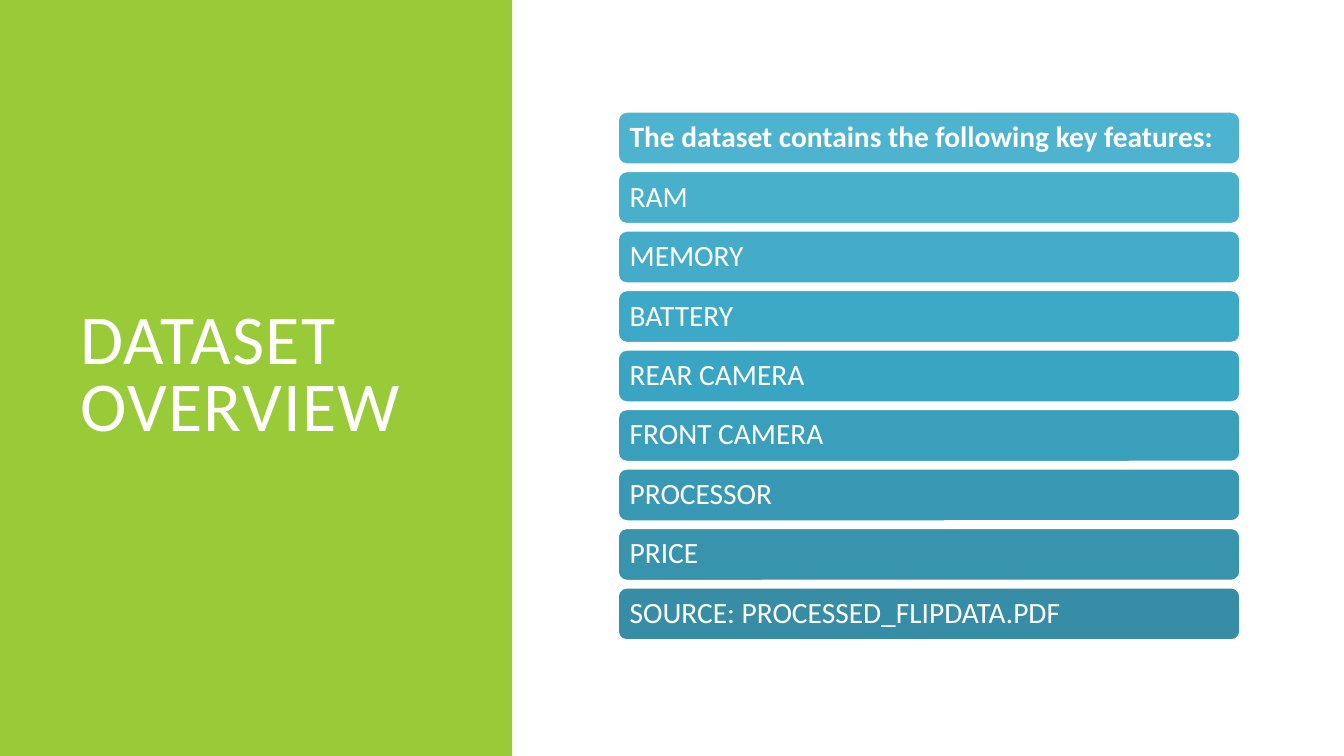
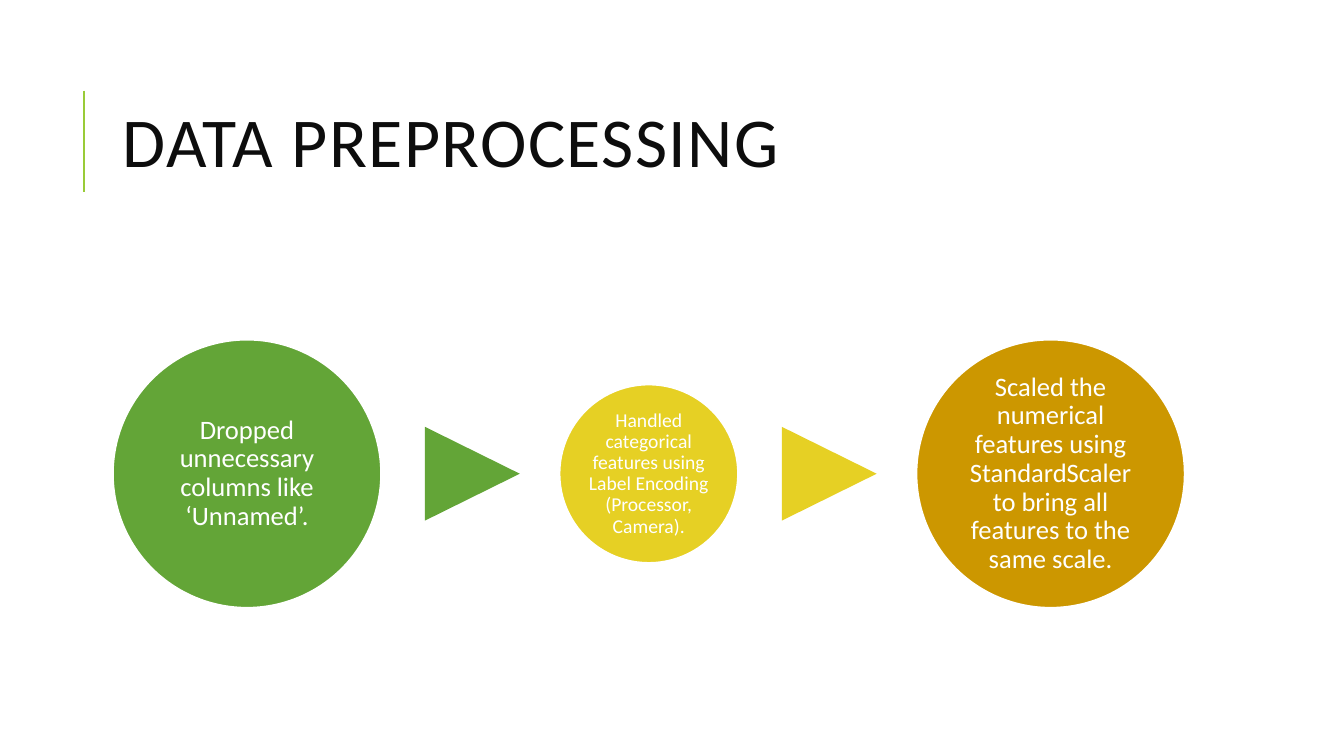
from dataclasses import dataclass

from lxml.etree import SubElement
from pptx import Presentation
from pptx.dml.color import RGBColor
from pptx.enum.shapes import MSO_CONNECTOR, MSO_SHAPE
from pptx.enum.text import MSO_ANCHOR, PP_ALIGN
from pptx.oxml.ns import qn
from pptx.shapes.autoshape import Shape
from pptx.slide import Slide
from pptx.util import Inches, Pt


# Shared look
@dataclass(frozen=True)
class Theme:
    font: str = "Calibri"
    lime: str = "99CB38"
    white: str = "FFFFFF"
    ink: str = "0D0D0D"
    green: str = "63A537"
    yellow: str = "E6D024"
    amber: str = "CC9700"
    blues: tuple[str, ...] = (
        "4EB3CF", "49B0CC", "44ACC9", "3EA9C7", "3AA4C3",
        "3A9FBB", "3999B4", "3893AD", "378DA6",
    )
    title: int = 50
    bar: int = 21
    large: int = 19
    small: int = 14
    edge: float = 1.25
    rule: float = 1.5


THEME = Theme()


@dataclass(frozen=True)
class Box:
    left: float
    top: float
    width: float
    height: float

    def place(self) -> tuple[Inches, Inches, Inches, Inches]:
        return (Inches(self.left), Inches(self.top),
                Inches(self.width), Inches(self.height))


@dataclass(frozen=True)
class Style:
    size: int
    color: str = THEME.white
    bold: bool = False
    align: PP_ALIGN = PP_ALIGN.LEFT
    inset: float = 0.09
    leading: float = 0.9
    track: int = 0  # hundredths of a point


@dataclass(frozen=True)
class Step:
    text: str
    size: float
    fill: str
    type: int
    inset: float


FEATURES = (
    "The dataset contains the following key features:",
    "RAM", "MEMORY", "BATTERY", "REAR CAMERA", "FRONT CAMERA",
    "PROCESSOR", "PRICE", "SOURCE: PROCESSED_FLIPDATA.PDF",
)

STEPS = (
    Step("Dropped unnecessary columns like ‘Unnamed’.",
         2.66, THEME.green, THEME.large, 0.03),
    Step("Handled categorical features using Label Encoding "
         "(Processor, Camera).",
         1.77, THEME.yellow, THEME.small, 0.02),
    Step("Scaled the numerical features using StandardScaler "
         "to bring all features to the same scale.",
         2.66, THEME.amber, THEME.large, 0.03),
)


# Drawing helpers
def rgb(color: str) -> RGBColor:
    return RGBColor.from_string(color)


def write(shape: Shape, text: str, style: Style) -> None:
    frame = shape.text_frame
    frame.word_wrap = True
    frame.vertical_anchor = MSO_ANCHOR.MIDDLE
    frame.margin_left = frame.margin_right = Inches(style.inset)
    frame.margin_top = frame.margin_bottom = Inches(style.inset)
    para = frame.paragraphs[0]
    para.alignment = style.align
    para.line_spacing = style.leading
    run = para.add_run()
    run.text = text
    run.font.name = THEME.font
    run.font.size = Pt(style.size)
    run.font.bold = style.bold
    run.font.color.rgb = rgb(style.color)
    if style.track:
        run.font._element.set("spc", str(style.track))


def draw(slide: Slide, kind: MSO_SHAPE, box: Box, fill: str,
         edge: bool = False) -> Shape:
    shape = slide.shapes.add_shape(kind, *box.place())
    shape.shadow.inherit = False
    shape.fill.solid()
    shape.fill.fore_color.rgb = rgb(fill)
    if edge:
        shape.line.color.rgb = rgb(THEME.white)
        shape.line.width = Pt(THEME.edge)
    else:
        shape.line.fill.background()
    return shape


def title(slide: Slide, text: str, box: Box, color: str) -> None:
    label = slide.shapes.add_textbox(*box.place())
    write(label, text, Style(THEME.title, color, inset=0.1,
                             leading=0.8, track=100))


def rule(slide: Slide, left: float, top: float, end: float) -> None:
    line = slide.shapes.add_connector(
        MSO_CONNECTOR.STRAIGHT,
        Inches(left), Inches(top), Inches(left), Inches(end))
    line.line.color.rgb = rgb(THEME.lime)
    line.line.width = Pt(THEME.rule)
    SubElement(line._element.spPr, qn("a:effectLst"))


# Slides
def dataset(slide: Slide) -> None:
    draw(slide, MSO_SHAPE.RECTANGLE, Box(0, 0, 5.08, 7.5), THEME.lime)
    title(slide, "DATASET OVERVIEW", Box(0.7, 0.7, 3.74, 6.09), THEME.white)
    # Stacked bars, the first one bold
    top, pitch = 1.11, 0.59
    for row, (text, fill) in enumerate(zip(FEATURES, THEME.blues)):
        box = Box(6.13, top + row * pitch, 6.17, 0.52)
        bar = draw(slide, MSO_SHAPE.ROUNDED_RECTANGLE, box, fill, edge=True)
        write(bar, text, Style(THEME.bar, bold=row == 0))


def process(slide: Slide) -> None:
    rule(slide, 0.83, 0.9, 1.9)
    title(slide, "DATA PREPROCESSING", Box(1.12, 0.64, 10.63, 1.64), THEME.ink)
    # Circles on one axis, an arrow after each but the last
    left, axis = 1.12, 4.7
    wide, tall, before, after = 0.93, 0.94, 0.44, 0.4
    for step in STEPS:
        box = Box(left, axis - step.size / 2, step.size, step.size)
        disc = draw(slide, MSO_SHAPE.OVAL, box, step.fill, edge=True)
        write(disc, step.text, Style(step.type, align=PP_ALIGN.CENTER,
                                     inset=step.inset))
        left += step.size + before
        if step is not STEPS[-1]:
            spot = Box(left, axis - tall / 2, wide, tall)
            arrow = draw(slide, MSO_SHAPE.ISOSCELES_TRIANGLE, spot, step.fill)
            arrow.rotation = 90
            left += wide + after


def main() -> None:
    deck = Presentation()
    deck.slide_width = Inches(13.33)
    deck.slide_height = Inches(7.5)
    blank = deck.slide_layouts[6]
    for build in (dataset, process):
        build(deck.slides.add_slide(blank))
    deck.save("out.pptx")


if __name__ == "__main__":
    main()
